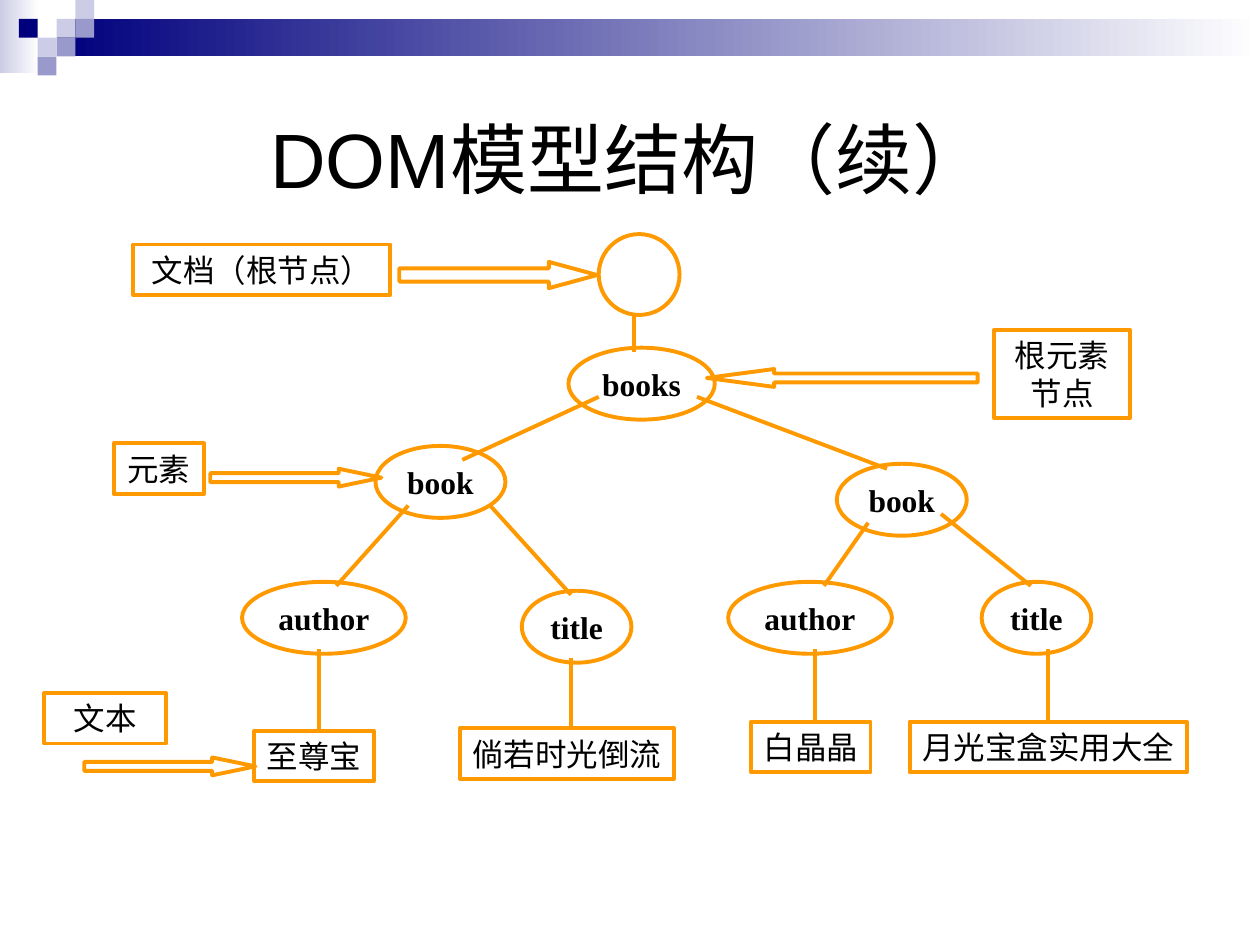
"""Build a slide that shows a DOM tree of books with labelled node kinds."""
from lxml import etree
from pptx import Presentation
from pptx.dml.color import RGBColor
from pptx.enum.shapes import MSO_CONNECTOR, MSO_SHAPE
from pptx.enum.text import MSO_ANCHOR, PP_ALIGN
from pptx.oxml.ns import qn
from pptx.util import Cm, Pt

ORANGE = RGBColor(0xFF, 0x99, 0x00)
NAVY = RGBColor(0x00, 0x00, 0x7D)
LILAC = RGBColor(0x99, 0x99, 0xCC)
PALE = RGBColor(0xCC, 0xCC, 0xE6)
WHITE = RGBColor(0xFF, 0xFF, 0xFF)
BLACK = RGBColor(0x00, 0x00, 0x00)
SQUARE = 0.38
LINE_HEIGHT = 1.02
NODE_HEIGHT = 1.45

prs = Presentation()
prs.slide_width, prs.slide_height = Cm(25.4), Cm(19.05)
slide = prs.slides.add_slide(prs.slide_layouts[5])


def add_plain(kind, left, top, width, height):
    shape = slide.shapes.add_shape(kind, Cm(left), Cm(top), Cm(width), Cm(height))
    shape.shadow.inherit = False
    return shape


def add_outlined(kind, left, top, width, height, text="", bold=False):
    shape = add_plain(kind, left, top, width, height)
    shape.fill.background()
    shape.line.color.rgb = ORANGE
    shape.line.width = Pt(2.25)
    if text:
        frame = shape.text_frame
        frame.word_wrap = height > NODE_HEIGHT
        frame.vertical_anchor = MSO_ANCHOR.MIDDLE
        frame.paragraphs[0].alignment = PP_ALIGN.CENTER
        run = frame.paragraphs[0].add_run()
        run.text = text
        run.font.name = "Times New Roman"
        run.font.size = Pt(18)
        run.font.bold = bold
        run.font.color.rgb = BLACK
    return shape


for colour, left, top, width, height in [
    (PALE, 0, 0, 0.79, 1.47),
    (NAVY, 3 * SQUARE, SQUARE, 24.26, 2 * SQUARE),
]:
    band = add_plain(MSO_SHAPE.RECTANGLE, left, top, width, height)
    band.line.fill.background()
    band.fill.gradient()
    band.fill.gradient_angle = 0
    for stop, stop_colour in zip(band.fill.gradient_stops, (colour, WHITE)):
        stop.color.rgb = stop_colour

for column, row, colour in [
    (3, 1, PALE), (4, 0, PALE), (4, 1, LILAC), (2, 2, PALE),
    (1, 1, NAVY), (3, 2, LILAC), (2, 3, LILAC),
]:
    square = add_plain(MSO_SHAPE.RECTANGLE, column * SQUARE, row * SQUARE, SQUARE, SQUARE)
    square.fill.solid()
    square.fill.fore_color.rgb = colour
    square.line.fill.background()

title = slide.shapes.title
title.left, title.top, title.width, title.height = Cm(1.27), Cm(2.16), Cm(22.86), Cm(2.03)
title.text_frame.vertical_anchor = MSO_ANCHOR.MIDDLE
title.text_frame.paragraphs[0].alignment = PP_ALIGN.CENTER
heading = title.text_frame.paragraphs[0].add_run()
heading.text = "DOM模型结构（续）"
heading.font.name = "Arial"
heading.font.size = Pt(44)
heading.font.color.rgb = BLACK

add_outlined(MSO_SHAPE.OVAL, 12.07, 4.72, 1.63, 1.63)

for element, left, top, width in [
    ("books", 11.46, 7.01, 2.95),
    ("book", 7.57, 8.99, 2.62),
    ("book", 16.87, 9.35, 2.62),
    ("author", 4.88, 11.73, 3.3),
    ("title", 10.52, 11.91, 2.21),
    ("author", 14.68, 11.73, 3.3),
    ("title", 19.79, 11.73, 2.21),
]:
    add_outlined(MSO_SHAPE.OVAL, left, top, width, NODE_HEIGHT, element, bold=True)

for label, left, top, width, height in [
    ("文档（根节点）", 2.69, 4.93, 5.18, LINE_HEIGHT),
    ("根元素节点", 20.04, 6.65, 2.74, 1.78),
    ("元素", 2.29, 8.94, 1.83, LINE_HEIGHT),
    ("文本", 0.89, 13.97, 2.46, LINE_HEIGHT),
    ("至尊宝", 5.13, 14.73, 2.41, LINE_HEIGHT),
    ("倘若时光倒流", 9.27, 14.68, 4.32, LINE_HEIGHT),
    ("白晶晶", 15.14, 14.55, 2.41, LINE_HEIGHT),
    ("月光宝盒实用大全", 18.34, 14.55, 5.59, LINE_HEIGHT),
]:
    add_outlined(MSO_SHAPE.RECTANGLE, left, top, width, height, label)

for start_x, start_y, end_x, end_y in [
    (12.78, 6.38, 12.78, 7.09),
    (12.07, 8, 9.32, 9.27),
    (14.05, 8, 17.88, 9.45),
    (8.23, 10.19, 6.78, 11.81),
    (9.88, 10.19, 11.51, 11.99),
    (17.5, 10.54, 16.61, 11.81),
    (18.97, 10.36, 20.78, 11.81),
    (6.43, 13.08, 6.43, 14.71),
    (11.51, 13.26, 11.51, 14.71),
    (16.43, 13.08, 16.43, 14.53),
    (21.13, 13.08, 21.13, 14.53),
]:
    branch = slide.shapes.add_connector(
        MSO_CONNECTOR.STRAIGHT, Cm(start_x), Cm(start_y), Cm(end_x), Cm(end_y))
    branch.line.color.rgb = ORANGE
    branch.line.width = Pt(2.25)
    etree.SubElement(branch._element.spPr, qn("a:effectLst"))

for direction, left, top, width, height, head_length in [
    (MSO_SHAPE.RIGHT_ARROW, 8.05, 5.28, 3.99, 0.53, 1.84),
    (MSO_SHAPE.LEFT_ARROW, 14.25, 7.44, 5.46, 0.36, 3.77),
    (MSO_SHAPE.RIGHT_ARROW, 4.24, 9.45, 3.45, 0.36, 2.39),
    (MSO_SHAPE.RIGHT_ARROW, 1.7, 15.27, 3.45, 0.36, 2.42),
]:
    pointer = add_outlined(direction, left, top, width, height)
    pointer.adjustments[0] = 0.5
    pointer.adjustments[1] = head_length

prs.save("out.pptx")
